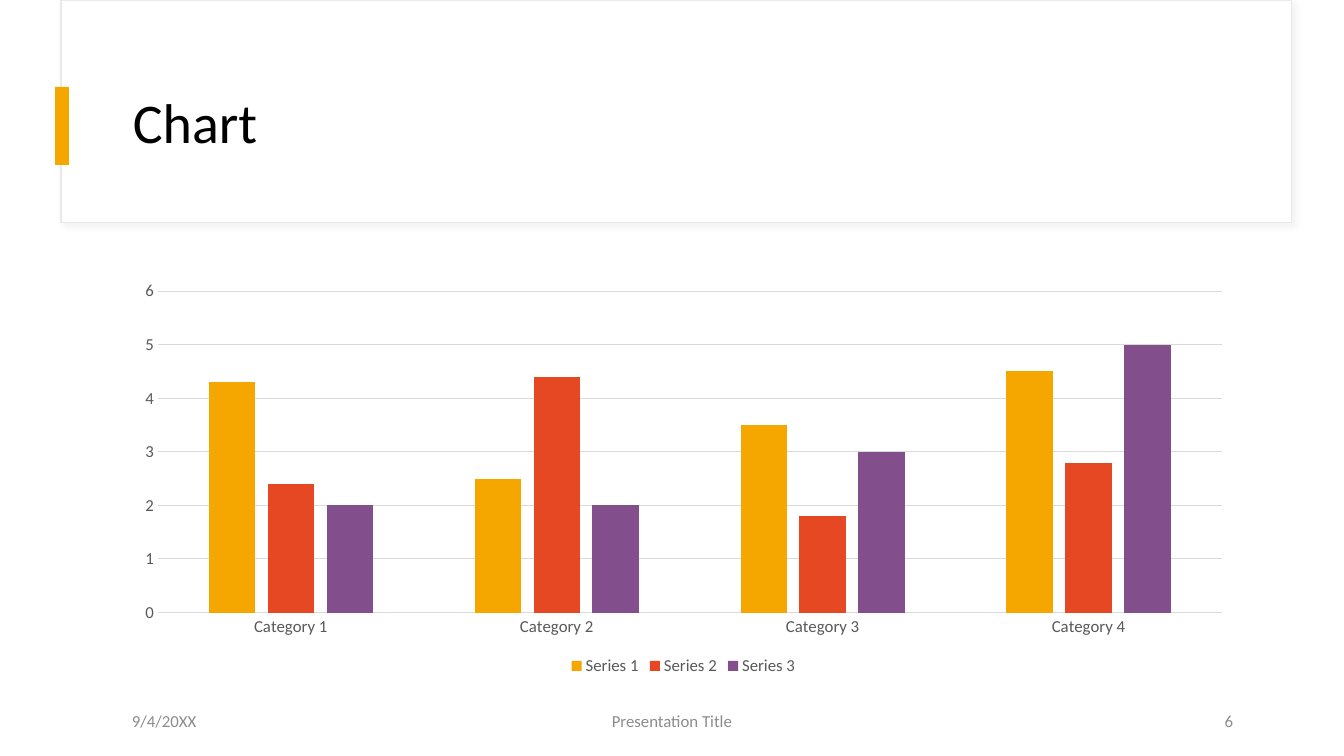
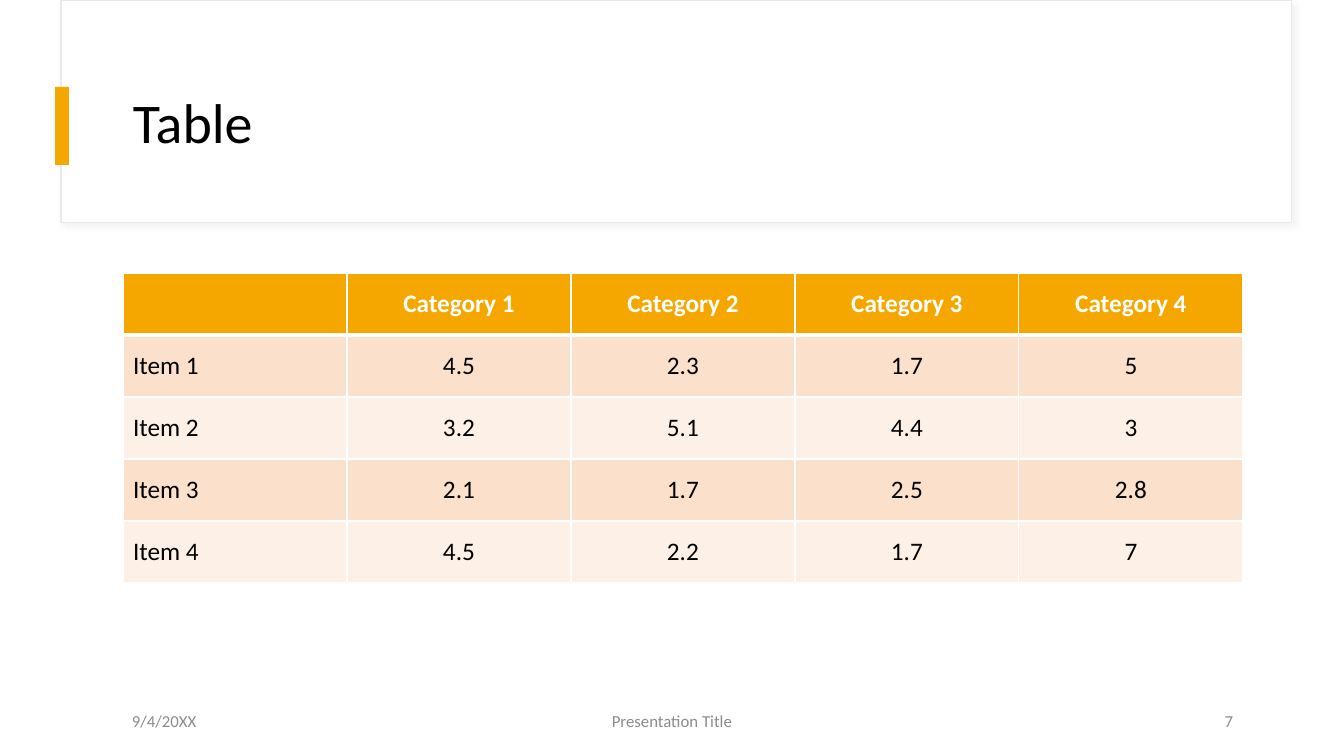
"""Build a chart slide and a table slide that share one frame."""
from dataclasses import dataclass

from lxml import etree
from pptx import Presentation
from pptx.chart.data import CategoryChartData
from pptx.dml.color import RGBColor
from pptx.enum.chart import XL_CHART_TYPE, XL_LEGEND_POSITION, XL_TICK_MARK
from pptx.enum.shapes import MSO_SHAPE
from pptx.enum.text import MSO_ANCHOR, PP_ALIGN
from pptx.oxml.ns import qn
from pptx.util import Pt

LEFT, MID, RIGHT = PP_ALIGN.LEFT, PP_ALIGN.CENTER, PP_ALIGN.RIGHT
CENTRE = MSO_ANCHOR.MIDDLE
RECT = MSO_SHAPE.RECTANGLE
COLUMN = XL_CHART_TYPE.COLUMN_CLUSTERED
BOTTOM = XL_LEGEND_POSITION.BOTTOM
NO_TICK = XL_TICK_MARK.NONE

PX = 12192000 / 1344
FONT = "Calibri"
BLACK, WHITE = "000000", "FFFFFF"
GOLD, RED, PLUM = "F5A700", "E64823", "824F8C"
GREY, LABEL, RULE, EDGE = "8C8C8C", "595959", "D9D9D9", "E9E9E9"
BANDS = "FDF1E7", "FBE1CC"


@dataclass(frozen=True)
class Box:
    """A place on the slide in px."""
    x: int
    y: int
    w: int
    h: int

    def emu(self) -> list[int]:
        """Give left, top, width and height in EMU."""
        return [emu(n) for n in (self.x, self.y, self.w, self.h)]


@dataclass(frozen=True)
class Foot:
    """One part of the footer."""
    text: str
    x: int
    w: int
    align: PP_ALIGN


@dataclass(frozen=True)
class Series:
    """One set of bars."""
    name: str
    vals: tuple[float, ...]
    color: str


PANEL = Box(61, 0, 1231, 223)
MARK = Box(55, 87, 14, 78)
TITLE = Box(123, 60, 1121, 130)
PLOT = Box(123, 273, 1121, 407)
GRID = Box(123, 273, 1120, 310)

CATS = [f"Category {n}" for n in range(1, 5)]
BARS = [
    Series("Series 1", (4.3, 2.5, 3.5, 4.5), GOLD),
    Series("Series 2", (2.4, 4.4, 1.8, 2.8), RED),
    Series("Series 3", (2, 2, 3, 5), PLUM),
]
ROWS = [
    ["", *CATS],
    ["Item 1", "4.5", "2.3", "1.7", "5"],
    ["Item 2", "3.2", "5.1", "4.4", "3"],
    ["Item 3", "2.1", "1.7", "2.5", "2.8"],
    ["Item 4", "4.5", "2.2", "1.7", "7"],
]


def emu(px: int) -> int:
    """Turn px into EMU."""
    return round(px * PX)


def rgb(color: str) -> RGBColor:
    """Turn a hex string into a colour."""
    return RGBColor.from_string(color)


def paint(part, color: str) -> None:
    """Give a fill or a line format one solid colour."""
    part.fill.solid()
    part.fill.fore_color.rgb = rgb(color)


def style(font, size: int, color: str, bold: bool = False) -> None:
    """Set the look of a font."""
    font.name, font.size, font.bold = FONT, Pt(size), bold
    font.color.rgb = rgb(color)


def write(frame, text: str, *, size: int, color: str = BLACK,
          align: PP_ALIGN = LEFT, bold: bool = False,
          space: float = 1.0) -> None:
    """Write one paragraph into a text frame."""
    para = frame.paragraphs[0]
    para.alignment, para.line_spacing = align, space
    if text:
        para.add_run().text = text
    for run in para.runs:
        style(run.font, size, color, bold)


def add_text(slide, box: Box, text: str, **look) -> None:
    """Add a text box centred in height."""
    frame = slide.shapes.add_textbox(*box.emu()).text_frame
    frame.word_wrap = True
    frame.vertical_anchor = CENTRE
    write(frame, text, **look)


def add_rect(slide, box: Box, fill: str, edge: str | None = None):
    """Add a flat rectangle."""
    rect = slide.shapes.add_shape(RECT, *box.emu())
    rect.shadow.inherit = False
    paint(rect, fill)
    if edge:
        paint(rect.line, edge)
        rect.line.width = Pt(0.75)
    else:
        rect.line.fill.background()
    return rect


def add_shade(shape) -> None:
    """Give a shape a faint shadow to the lower right."""
    effects = shape._element.spPr.find(qn("a:effectLst"))
    shade = etree.SubElement(
        effects, qn("a:outerShdw"), blurRad=str(Pt(4)), dist=str(Pt(3)),
        dir=str(45 * 60000), algn="tl", rotWithShape="0")
    color = etree.SubElement(shade, qn("a:srgbClr"), val=RULE)
    etree.SubElement(color, qn("a:alpha"), val="30000")


def add_frame(deck, title: str, page: int):
    """Add a slide with its panel, title and footer."""
    slide = deck.slides.add_slide(deck.slide_layouts[6])
    add_shade(add_rect(slide, PANEL, WHITE, EDGE))
    add_rect(slide, MARK, GOLD)
    add_text(slide, TITLE, title, size=40, space=0.9)
    feet = [
        Foot("9/4/20XX", 122, 302, LEFT),
        Foot("Presentation Title", 445, 454, MID),
        Foot(str(page), 941, 302, RIGHT),
    ]
    for foot in feet:
        add_text(slide, Box(foot.x, 701, foot.w, 40), foot.text,
                 size=12, color=GREY, align=foot.align)
    return slide


def add_bars(slide) -> None:
    """Add the column chart."""
    data = CategoryChartData()
    data.categories = CATS
    for bar in BARS:
        data.add_series(bar.name, bar.vals)
    chart = slide.shapes.add_chart(COLUMN, *PLOT.emu(), data).chart
    chart.has_title = False
    style(chart.font, 12, LABEL)
    chart.has_legend = True
    chart.legend.position = BOTTOM
    chart.legend.include_in_layout = False
    style(chart.legend.font, 12, LABEL)

    plot = chart.plots[0]
    plot.gap_width, plot.overlap = 219, -27
    plot.vary_by_categories = False
    for series, bar in zip(plot.series, BARS):
        paint(series.format, bar.color)
        series.invert_if_negative = False

    cats, vals = chart.category_axis, chart.value_axis
    for axis in (cats, vals):
        axis.major_tick_mark = axis.minor_tick_mark = NO_TICK
        style(axis.tick_labels.font, 12, LABEL)
    vals.minimum_scale, vals.maximum_scale, vals.major_unit = 0, 6, 1
    vals.format.line.fill.background()
    for line in (cats.format.line, vals.major_gridlines.format.line):
        paint(line, RULE)
        line.width = Pt(0.75)


def edge_cell(cell, top: int, base: int) -> None:
    """Draw white borders, with widths in points, round a cell."""
    props = cell._tc.get_or_add_tcPr()
    for side, width in zip("LRTB", (1, 1, top, base)):
        line = etree.SubElement(props, qn(f"a:ln{side}"), w=str(Pt(width)))
        fill = etree.SubElement(line, qn("a:solidFill"))
        etree.SubElement(fill, qn("a:srgbClr"), val=WHITE)


def add_grid(slide) -> None:
    """Add the table."""
    wide, high = len(ROWS[0]), len(ROWS)
    table = slide.shapes.add_table(high, wide, *GRID.emu()).table
    table.horz_banding = False
    for col in table.columns:
        col.width = emu(GRID.w // wide)
    for r, texts in enumerate(ROWS):
        table.rows[r].height = emu(GRID.h // high)
        head = r == 0
        for c, text in enumerate(texts):
            cell = table.cell(r, c)
            cell.vertical_anchor = CENTRE
            edge_cell(cell, 3 if r == 1 else 1, 3 if head else 1)
            paint(cell, GOLD if head else BANDS[r % 2])
            write(cell.text_frame, text, size=18, bold=head,
                  color=WHITE if head else BLACK, align=MID if c else LEFT)


def main() -> None:
    """Build and save the deck."""
    deck = Presentation()
    deck.slide_width, deck.slide_height = emu(1344), emu(756)
    add_bars(add_frame(deck, "Chart", 6))
    add_grid(add_frame(deck, "Table", 7))
    deck.save("out.pptx")


if __name__ == "__main__":
    main()
